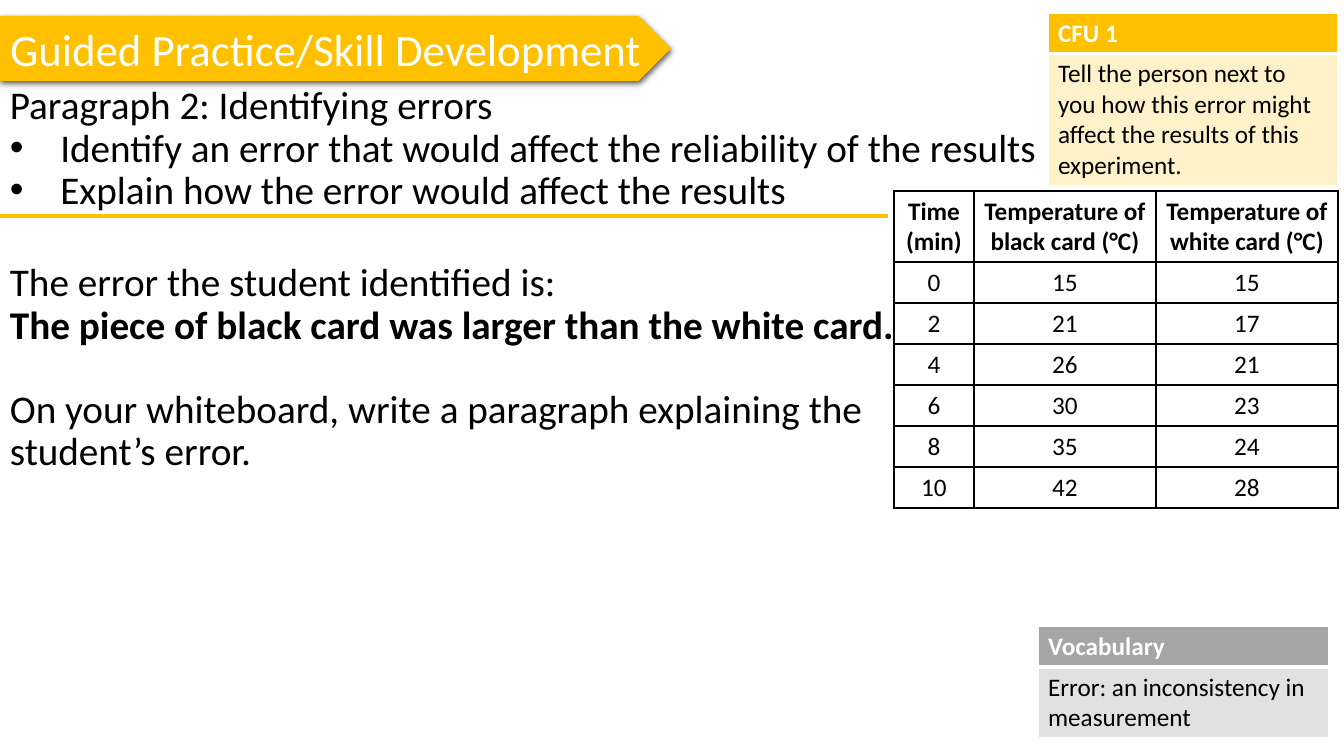
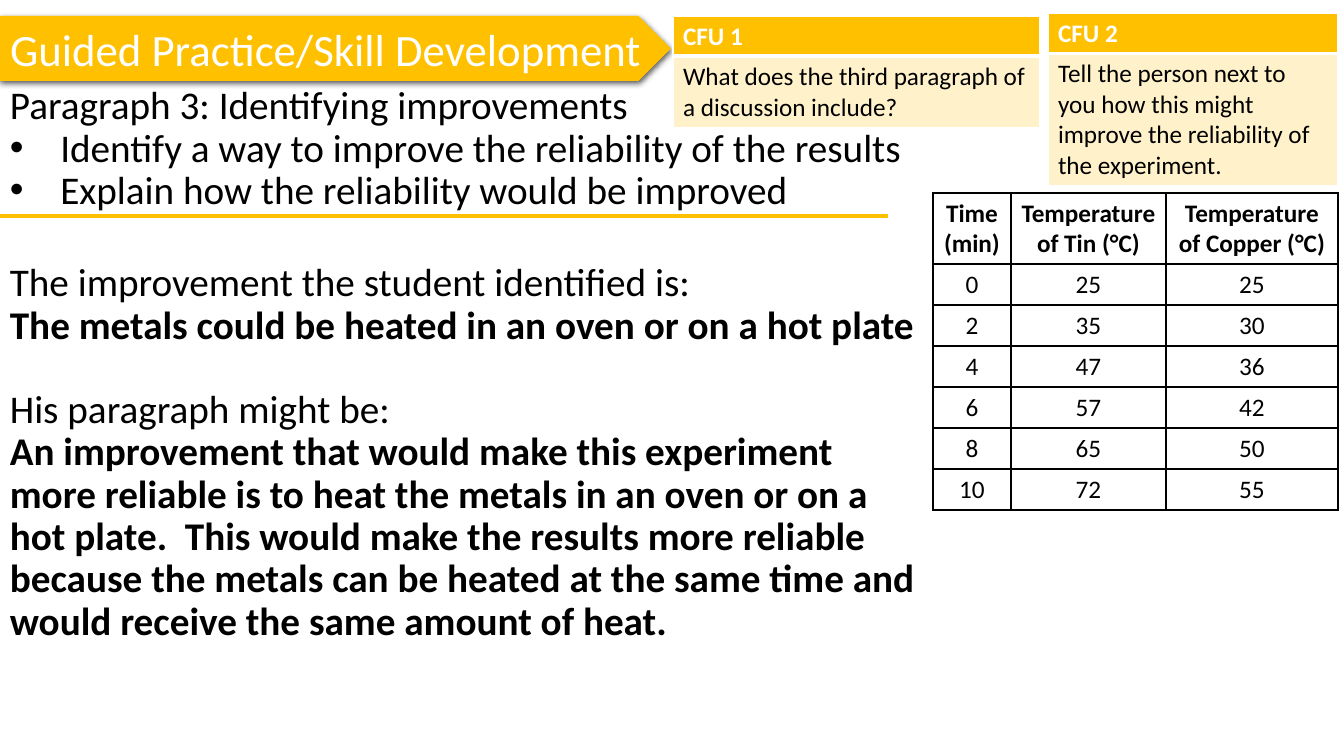
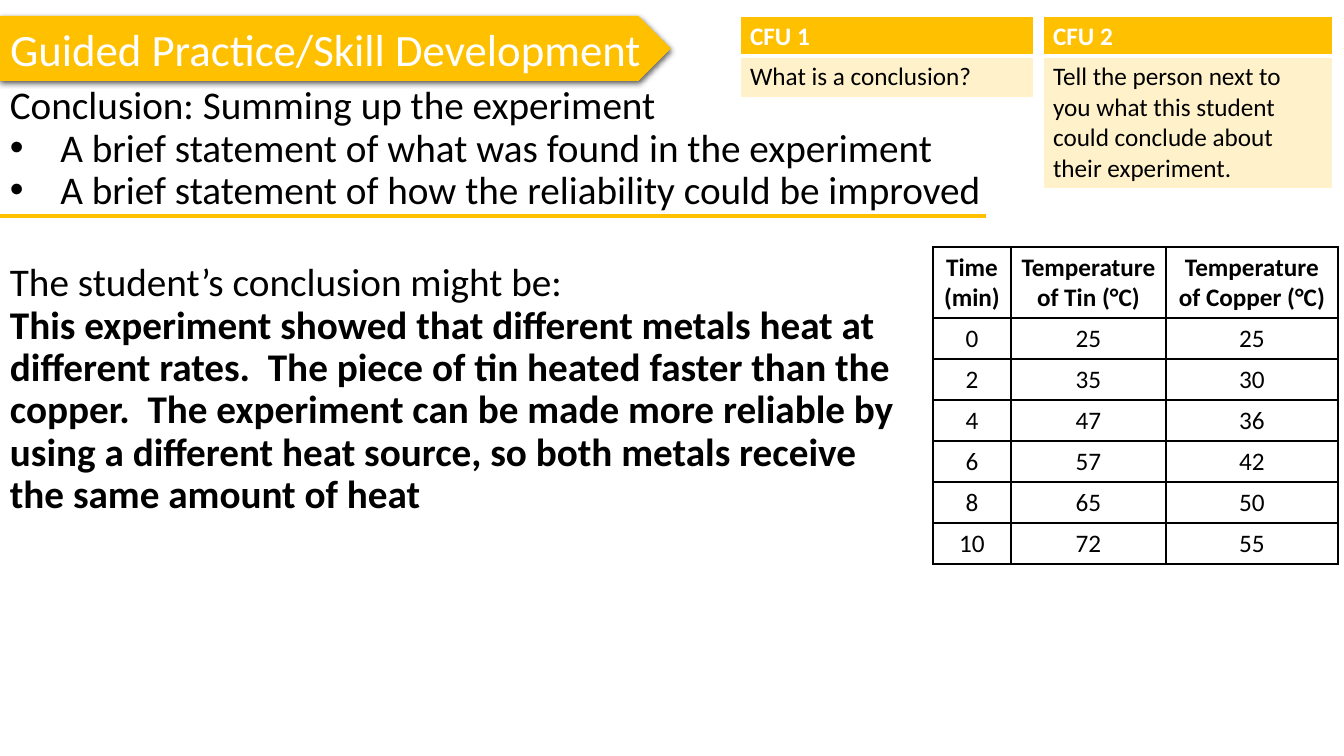
"""Build three guided-practice slides on writing a science discussion."""
from dataclasses import dataclass

from lxml.etree import SubElement
from pptx import Presentation
from pptx.dml.color import RGBColor
from pptx.enum.shapes import MSO_CONNECTOR, MSO_SHAPE
from pptx.enum.text import MSO_ANCHOR, MSO_AUTO_SIZE, PP_ALIGN
from pptx.oxml import parse_xml
from pptx.oxml.ns import nsdecls, qn
from pptx.util import Emu, Pt


@dataclass(frozen=True)
class Theme:
    font: str = "Calibri"
    gold: str = "FFC000"
    cream: str = "FFE699"
    grey: str = "A5A5A5"
    pale_grey: str = "E1E1E1"
    black: str = "000000"
    white: str = "FFFFFF"
    title_size: int = 32
    body_size: int = 28
    table_size: int = 18
    line_spacing: float = 0.9
    gap: int = 30


THEME = Theme()
TITLE = "Guided Practice/Skill Development"


def px(length):
    return Emu(round(length * 914400 / 100.8))


def style_cell(cell, text, bold, colour, fill, alpha, border, widths):
    cell.text_frame.text = text
    font = cell.text_frame.paragraphs[0].runs[0].font
    font.name, font.size, font.bold = THEME.font, Pt(THEME.table_size), bold
    font.color.rgb = RGBColor.from_string(colour)
    if fill:
        cell.fill.solid()
        cell.fill.fore_color.rgb = RGBColor.from_string(fill)
    else:
        cell.fill.background()
    properties = cell._tc.get_or_add_tcPr()
    if alpha < 100:
        fill_colour = properties.find(qn("a:solidFill"))[0]
        SubElement(fill_colour, qn("a:alpha"), val=str(alpha * 1000))
    for position, (side, width) in enumerate(zip("LRTB", widths)):
        properties.insert(position, parse_xml(
            f'<a:ln{side} {nsdecls("a")} w="{Pt(width)}"><a:solidFill>'
            f'<a:srgbClr val="{border}"/></a:solidFill></a:ln{side}>'))


CFU = (THEME.gold, THEME.cream, 50)
VOCABULARY = (THEME.grey, THEME.pale_grey, 100)
MINUTES = (0, 2, 4, 6, 8, 10)
METALS = {
    "headings": ("Time (min)", "Temperature of Tin (°C)", "Temperature of Copper (°C)"),
    "readings": list(zip(MINUTES, (25, 35, 47, 57, 65, 72), (25, 30, 36, 42, 50, 55))),
    "columns": (78, 155, 172),
}
CARDS = {
    "headings": ("Time (min)", "Temperature of black card (°C)",
                 "Temperature of white card (°C)"),
    "readings": list(zip(MINUTES, (15, 21, 26, 30, 35, 42), (15, 17, 21, 23, 24, 28))),
    "columns": (80, 182, 182),
}

LESSONS = [
    {
        "outline": ("Paragraph 2: Identifying errors",
                    "Identify an error that would affect the reliability of the results",
                    "Explain how the error would affect the results"),
        "outline_width": 1048,
        "answer": [
            ("The error the student identified is:", False, 0),
            ("The piece of black card was larger than the white card.", True, 0),
            ("On your whiteboard, write a paragraph explaining the student’s error.",
             False, THEME.gap),
        ],
        "answer_size": (922, 489),
        "rule_end": 888,
        "prompts": [
            ("CFU 1", "Tell the person next to you how this error might affect "
             "the results of this experiment.", (1048, 13, 290), (39, 132), CFU),
            ("Vocabulary", "Error: an inconsistency in measurement",
             (1038, 626, 291), (41, 71), VOCABULARY),
        ],
        "results": CARDS,
        "results_at": (894, 191),
    },
    {
        "outline": ("Paragraph 3: Identifying improvements",
                    "Identify a way to improve the reliability of the results",
                    "Explain how the reliability would be improved"),
        "outline_width": 1014,
        "answer": [
            ("The improvement the student identified is:", False, 0),
            ("The metals could be heated in an oven or on a hot plate", True, 0),
            ("His paragraph might be:", False, THEME.gap),
            ("An improvement that would make this experiment more reliable is to heat "
             "the metals in an oven or on a hot plate.  This would make the results "
             "more reliable because the metals can be heated at the same time and "
             "would receive the same amount of heat.", True, 0),
        ],
        "answer_size": (933, 414),
        "rule_end": 888,
        "prompts": [
            ("CFU 2", "Tell the person next to you how this might improve the "
             "reliability of the experiment.", (1048, 13, 290), (39, 132), CFU),
            ("CFU 1", "What does the third paragraph of a discussion include?",
             (673, 16, 367), (39, 71), CFU),
        ],
        "results": METALS,
        "results_at": (933, 193),
    },
    {
        "outline": ("Conclusion: Summing up the experiment",
                    "A brief statement of what was found in the experiment",
                    "A brief statement of how the reliability could be improved"),
        "outline_width": 1014,
        "answer": [
            ("The student’s conclusion might be:", False, 0),
            ("This experiment showed that different metals heat at different rates.  "
             "The piece of tin heated faster than the copper.  The experiment can be "
             "made more reliable by using a different heat source, so both metals "
             "receive the same amount of heat", True, 0),
        ],
        "answer_size": (904, 414),
        "rule_end": 986,
        "prompts": [
            ("CFU 2", "Tell the person next to you what this student could conclude "
             "about their experiment.", (1043, 16, 290), (39, 132), CFU),
            ("CFU 1", "What is a conclusion?", (740, 16, 294), (39, 41), CFU),
        ],
        "results": METALS,
        "results_at": (933, 247),
    },
]

deck = Presentation()
deck.slide_width, deck.slide_height = px(1344), px(756)

for lesson in LESSONS:
    slide = deck.slides.add_slide(deck.slide_layouts[5])
    shapes = slide.shapes

    banner = shapes.add_shape(MSO_SHAPE.PENTAGON, px(0), px(16), px(671), px(65))
    banner.fill.solid()
    banner.fill.fore_color.rgb = RGBColor.from_string(THEME.gold)
    banner.line.fill.background()
    banner.shadow.inherit = False
    banner._element.spPr.find(qn("a:effectLst")).append(parse_xml(
        f'<a:outerShdw {nsdecls("a")} blurRad="{Pt(4.5)}" dist="{Pt(1.5)}" '
        f'dir="5400000" algn="ctr" rotWithShape="0"><a:srgbClr val="{THEME.black}">'
        '<a:alpha val="63000"/></a:srgbClr></a:outerShdw>'))
    shapes._spTree.insert(2, banner._element)

    title = shapes.title
    title.left, title.top, title.width, title.height = px(0), px(16), px(671), px(65)
    title.text_frame.text = TITLE
    title.text_frame.word_wrap = True
    title.text_frame.auto_size = MSO_AUTO_SIZE.NONE
    title.text_frame.vertical_anchor = MSO_ANCHOR.MIDDLE
    heading = title.text_frame.paragraphs[0]
    heading.alignment = PP_ALIGN.LEFT
    heading_font = heading.runs[0].font
    heading_font.name, heading_font.size = THEME.font, Pt(THEME.title_size)
    heading_font.color.rgb = RGBColor.from_string(THEME.white)

    outline = [(text, False, 0) for text in lesson["outline"]]
    for passages, top, (width, height), bulleted in (
        (outline, 81, (lesson["outline_width"], 140), True),
        (lesson["answer"], 258, lesson["answer_size"], False),
    ):
        frame = shapes.add_textbox(px(0), px(top), px(width), px(height)).text_frame
        frame.word_wrap = True
        frame.text = "\n".join(text for text, _, _ in passages)
        for index, (_, bold, space) in enumerate(passages):
            paragraph = frame.paragraphs[index]
            if bulleted and index:
                layout = paragraph._p.get_or_add_pPr()
                layout.set("marL", "457200")
                layout.set("indent", "-457200")
                SubElement(layout, qn("a:buFont"), typeface="Arial")
                SubElement(layout, qn("a:buChar"), char="•")
            paragraph.line_spacing = THEME.line_spacing
            if space:
                paragraph.space_before = Pt(space)
            font = paragraph.runs[0].font
            font.name, font.size, font.bold = THEME.font, Pt(THEME.body_size), bold
            font.color.rgb = RGBColor.from_string(THEME.black)

    for label, prompt, (left, top, width), heights, palette in lesson["prompts"]:
        label_fill, prompt_fill, alpha = palette
        card = shapes.add_table(2, 1, px(left), px(top), px(width), px(sum(heights))).table
        card.first_row = card.horz_banding = False
        for row, height in zip(card.rows, heights):
            row.height = px(height)
        style_cell(card.cell(0, 0), label, True, THEME.white, label_fill, 100,
                   THEME.white, (1, 1, 1, 3))
        style_cell(card.cell(1, 0), prompt, False, THEME.black, prompt_fill, alpha,
                   THEME.white, (1, 1, 3, 1))

    rule = shapes.add_connector(MSO_CONNECTOR.STRAIGHT, px(0), px(216),
                                px(lesson["rule_end"]), px(216))
    rule.line.color.rgb = RGBColor.from_string(THEME.gold)
    rule.line.width = Pt(2.25)
    SubElement(rule._element.spPr, qn("a:effectLst"))

    results = lesson["results"]
    left, top = lesson["results_at"]
    rows = [results["headings"], *results["readings"]]
    heights = [71] + [41] * len(results["readings"])
    grid = shapes.add_table(len(rows), len(results["columns"]), px(left), px(top),
                            px(sum(results["columns"])), px(sum(heights))).table
    grid.first_row = grid.horz_banding = False
    for column, width in zip(grid.columns, results["columns"]):
        column.width = px(width)
    for row_index, (values, height) in enumerate(zip(rows, heights)):
        grid.rows[row_index].height = px(height)
        for column_index, value in enumerate(values):
            cell = grid.cell(row_index, column_index)
            style_cell(cell, str(value), row_index == 0, THEME.black, None, 100,
                       THEME.black, (1, 1, 1, 1))
            cell.vertical_anchor = MSO_ANCHOR.MIDDLE
            cell.text_frame.paragraphs[0].alignment = PP_ALIGN.CENTER

deck.save("out.pptx")
